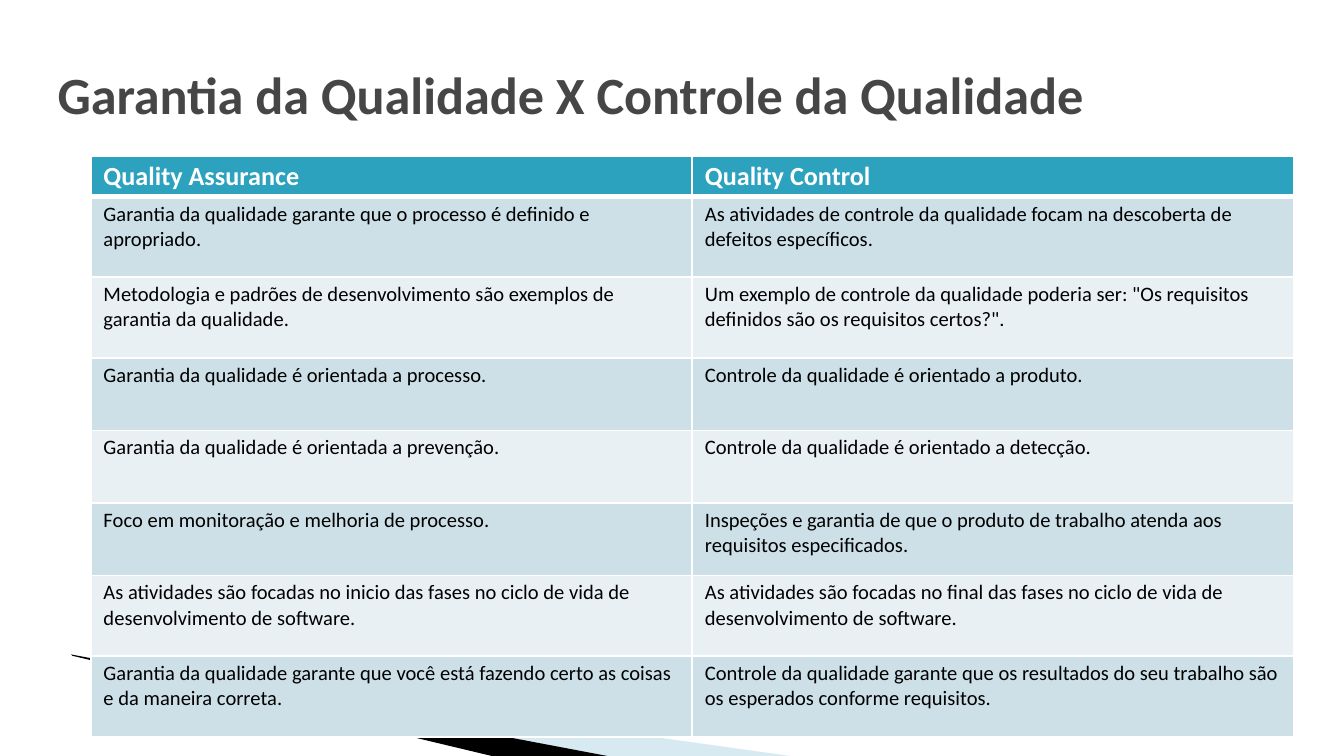
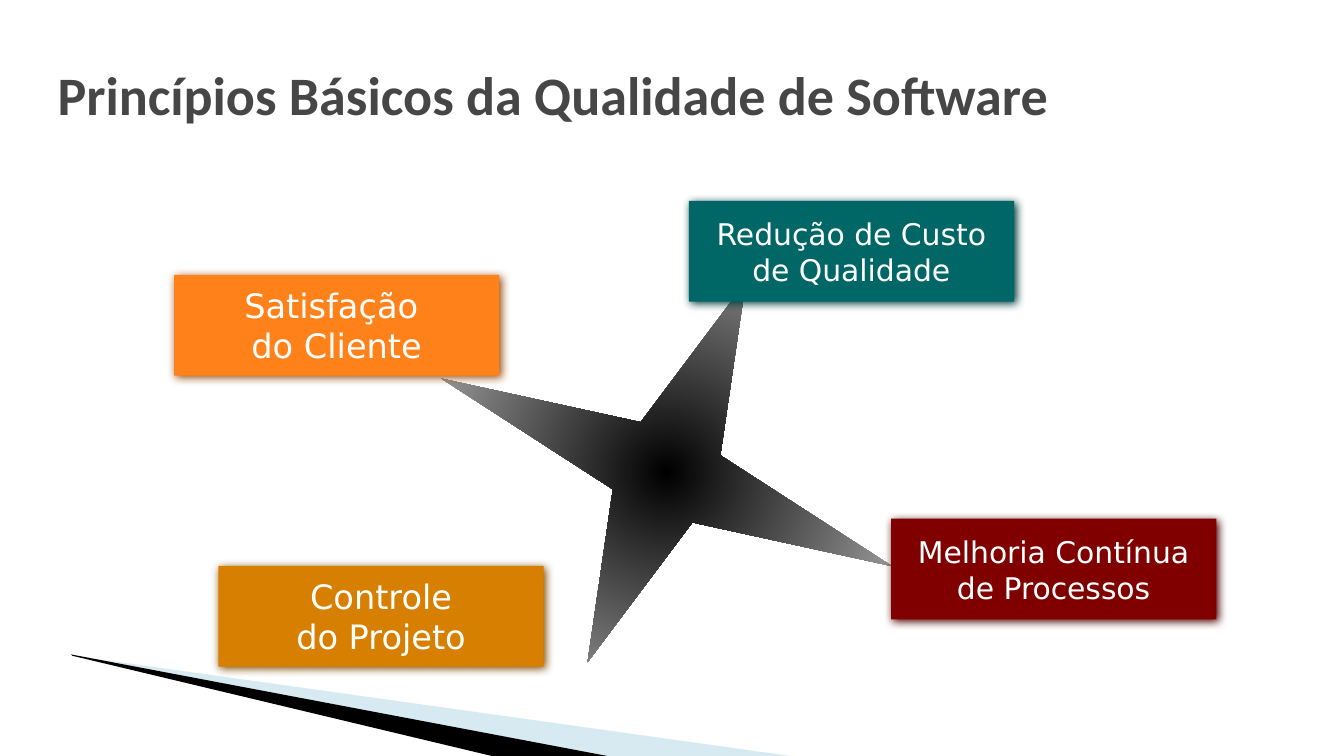
"""Builds two slides on software quality: a comparison table and a star of principles."""
from lxml.etree import SubElement
from pptx import Presentation
from pptx.dml.color import RGBColor
from pptx.enum.shapes import MSO_SHAPE as Shape
from pptx.enum.text import MSO_ANCHOR as Anchor, PP_ALIGN as Align
from pptx.oxml.ns import qn
from pptx.util import Pt

PX = 4572
COLORS = {
    "title": "464646", "white": "FFFFFF", "black": "000000", "pale": "9FCBDC",
    "header": "2DA2BF", "odd": "CDE0E8", "even": "E8F0F4",
    "orange": "FF8119", "orange_shadow": "994D0F",
    "red": "800000", "red_shadow": "4D0000",
    "teal": "006666", "teal_shadow": "003D3D",
    "ochre": "D67F00", "ochre_shadow": "804C00",
}
WEDGES = [
    ("pale", 40, [(110, 976), (1190, 1127), (912, 1127), (110, 976)]),
    ("black", 100, [(106, 974), (914, 1127), (744, 1128), (108, 976), (106, 974)]),
]
COMPARISON = [
    ("Quality Assurance", "Quality Control"),
    ("Garantia da qualidade garante que o processo é definido e apropriado.",
     "As atividades de controle da qualidade focam na descoberta de defeitos específicos."),
    ("Metodologia e padrões de desenvolvimento são exemplos de garantia da qualidade.",
     "Um exemplo de controle da qualidade poderia ser: \"Os requisitos definidos são os requisitos certos?\"."),
    ("Garantia da qualidade é orientada a processo.",
     "Controle da qualidade é orientado a produto."),
    ("Garantia da qualidade é orientada a prevenção.",
     "Controle da qualidade é orientado a detecção."),
    ("Foco em monitoração e melhoria de processo.",
     "Inspeções e garantia de que o produto de trabalho atenda aos requisitos especificados."),
    ("As atividades são focadas no inicio das fases no ciclo de vida de desenvolvimento de software.",
     "As atividades são focadas no final das fases no ciclo de vida de desenvolvimento de software."),
    ("Garantia da qualidade garante que você está fazendo certo as coisas e da maneira correta.",
     "Controle da qualidade garante que os resultados do seu trabalho são os esperados conforme requisitos."),
]
ROW_HEIGHTS = [60, 120, 120, 108, 108, 108, 120, 120]
PRINCIPLES = [
    ("Satisfação \ndo Cliente", "orange", 18, 0, 110),
    ("Melhoria Contínua\nde Processos", "red", 16, 1067, 473),
    ("Redução de Custo\nde Qualidade", "teal", 16, 766, 0),
    ("Controle\ndo Projeto", "ochre", 18, 66, 543),
]


def rgb(name):
    """Return the named colour."""
    return RGBColor.from_string(COLORS[name])


def emu(box):
    """Turn a box of px into EMU."""
    return [length * PX for length in box]


def add_child(parent, tag, **attributes):
    """Append an XML child with the given attributes."""
    return SubElement(parent, qn(tag), {key: str(value) for key, value in attributes.items()})


def style_text(frame, size, color, font="Calibri", bold=False, align=Align.LEFT):
    """Format every paragraph of a text frame."""
    for paragraph in frame.paragraphs:
        paragraph.alignment = align
        for run in paragraph.runs:
            run.font.size, run.font.name, run.font.bold = Pt(size), font, bold
            run.font.color.rgb = rgb(color)


def add_wedges(slide):
    """Draw the slanted wedges at the foot of a slide."""
    for color, opacity, (start, *corners) in WEDGES:
        builder = slide.shapes.build_freeform(*start, scale=PX)
        builder.add_line_segments(corners, close=False)
        wedge = builder.convert_to_shape()
        wedge.shadow.inherit = False
        wedge.fill.solid()
        wedge.fill.fore_color.rgb = rgb(color)
        wedge.line.fill.background()
        if opacity < 100:
            fill_color = wedge._element.spPr.find(".//" + qn("a:srgbClr"))
            add_child(fill_color, "a:alpha", val=opacity * 1000)


def add_title(slide, box, title, size):
    """Write the slide title."""
    frame = slide.shapes.add_textbox(*emu(box)).text_frame
    frame.word_wrap = True
    frame.vertical_anchor = Anchor.MIDDLE
    frame.text = title
    style_text(frame, size, "title", bold=True)


def start_slide(deck, title, size, title_width):
    """Add a blank slide with the shared wedges and title."""
    slide = deck.slides.add_slide(deck.slide_layouts[6])
    add_wedges(slide)
    add_title(slide, (66, 46, title_width, 188), title, size)
    return slide


def add_borders(cell, top, bottom):
    """Give a cell white borders of the given top and bottom weights."""
    properties = cell._tc.get_or_add_tcPr()
    for side, weight in (("L", 1), ("R", 1), ("T", top), ("B", bottom)):
        border = add_child(properties, f"a:ln{side}", w=Pt(weight))
        add_child(add_child(border, "a:solidFill"), "a:srgbClr", val=COLORS["white"])


def add_comparison(slide, box):
    """Draw the table that sets assurance against control."""
    table = slide.shapes.add_table(len(COMPARISON), 2, *emu(box)).table
    for column in table.columns:
        column.width = box[2] // 2 * PX
    for index, (texts, height) in enumerate(zip(COMPARISON, ROW_HEIGHTS)):
        table.rows[index].height = height * PX
        is_header = index == 0
        color = "header" if is_header else "odd" if index % 2 else "even"
        for cell, text in zip(table.rows[index].cells, texts):
            cell.margin_left = cell.margin_right = 19 * PX
            cell.margin_top = cell.margin_bottom = 7 * PX
            add_borders(cell, 3 if index == 1 else 1, 3 if is_header else 1)
            cell.fill.solid()
            cell.fill.fore_color.rgb = rgb(color)
            cell.text_frame.text = text
            style_text(cell.text_frame, 14 if is_header else 11,
                       "white" if is_header else "black", bold=is_header)


def add_star(slide, box):
    """Draw the tilted star with a radial gradient."""
    star = slide.shapes.add_shape(Shape.STAR_4_POINT, *emu(box))
    star.adjustments[0] = 0.125
    star.rotation = 22.6
    star.shadow.inherit = False
    star.line.fill.background()
    star.fill.gradient()
    for stop, color, position in zip(star.fill.gradient_stops, ("black", "white"), (0, 1)):
        stop.color.rgb = rgb(color)
        stop.position = position
    gradient = star._element.spPr.find(qn("a:gradFill"))
    gradient.remove(gradient.find(qn("a:lin")))
    circle = add_child(gradient, "a:path", path="circle")
    add_child(circle, "a:fillToRect", l=50000, t=50000, r=50000, b=50000)


def add_principle(slide, box, text, color, size):
    """Draw one principle as a coloured card with a shadow."""
    card = slide.shapes.add_shape(Shape.RECTANGLE, *emu(box))
    card.fill.solid()
    card.fill.fore_color.rgb = rgb(color)
    card.line.fill.background()
    card.shadow.inherit = False
    effects = card._element.spPr.find(qn("a:effectLst"))
    shadow = add_child(effects, "a:outerShdw", blurRad=Pt(5), dist=Pt(1.4),
                       dir=45 * 60000, algn="ctr", rotWithShape=0)
    add_child(shadow, "a:srgbClr", val=COLORS[color + "_shadow"])
    card.text_frame.word_wrap = True
    card.text_frame.vertical_anchor = Anchor.MIDDLE
    card.text_frame.text = text
    style_text(card.text_frame, size, "white", "DejaVu Sans", align=Align.CENTER)


def add_principles(slide, box):
    """Place the star and the four principles around it."""
    left, top, _, _ = box
    add_star(slide, (left + 370, top + 98, 726, 612))
    for text, color, size, x, y in PRINCIPLES:
        add_principle(slide, (left + x, top + y, 484, 150), text, color, size)


def main():
    """Build and save the deck."""
    deck = Presentation()
    deck.slide_width, deck.slide_height = emu((2000, 1125))
    comparison = start_slide(deck, "Garantia da Qualidade X Controle da Qualidade", 28, 1934)
    add_comparison(comparison, (135, 232, 1790, sum(ROW_HEIGHTS)))
    principles = start_slide(deck, "Princípios Básicos da Qualidade de Software", 29, 1834)
    add_principles(principles, (259, 299, 1551, 710))
    deck.save("out.pptx")


if __name__ == "__main__":
    main()
